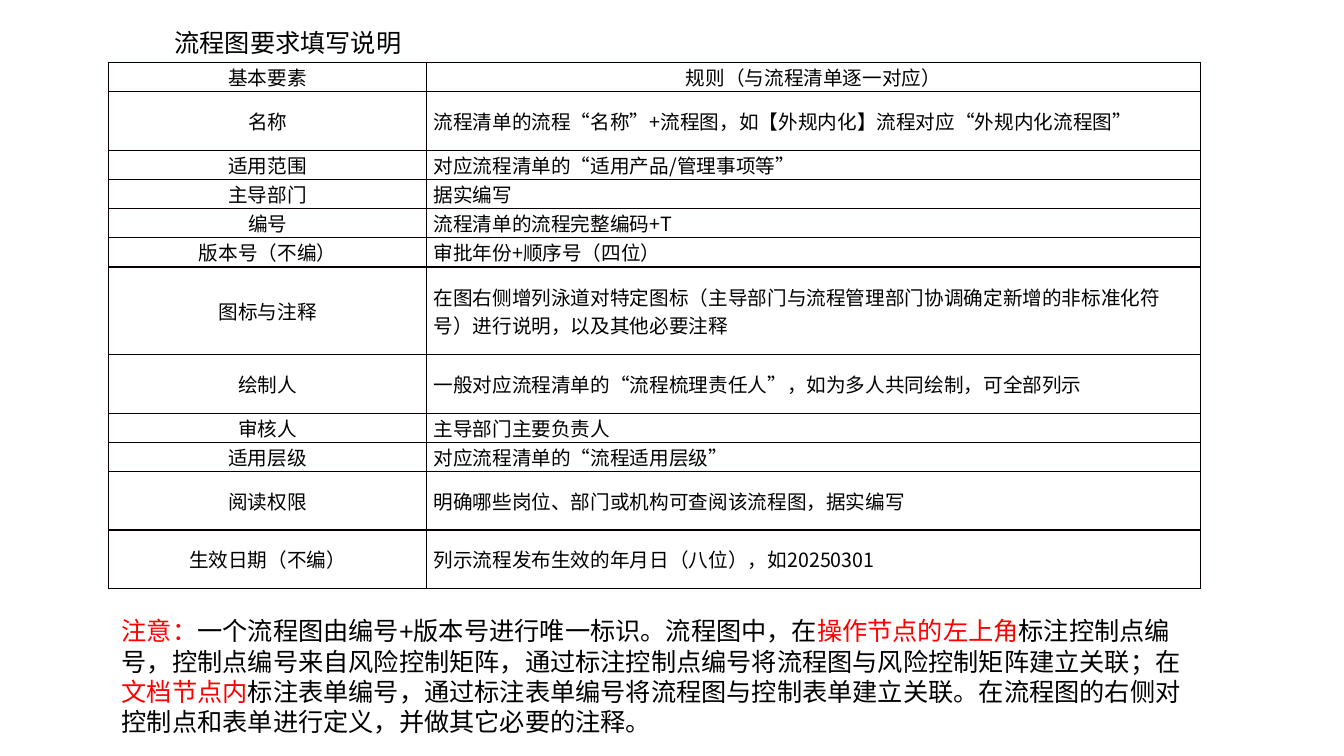
import pptx
import pptx.util
import pptx.dml.color
import pptx.enum.text
import pptx.oxml
import pptx.oxml.ns
from pptx.util import Inches

COLORS = {"text": "000000", "accent": "FF0000", "border": "080000"}
TABLE_FONT = "Noto Sans CJK SC"
TEXT_FONT = "Arial"
ALIGN = pptx.enum.text.PP_ALIGN
ANCHOR = pptx.enum.text.MSO_ANCHOR

LINE = 0.29
# Element, rule, row height in lines
ROWS = [
    ("基本要素", "规则（与流程清单逐一对应）", 1),
    ("名称", "流程清单的流程“名称”+流程图，如【外规内化】流程对应“外规内化流程图”", 2),
    ("适用范围", "对应流程清单的“适用产品/管理事项等”", 1),
    ("主导部门", "据实编写", 1),
    ("编号", "流程清单的流程完整编码+T", 1),
    ("版本号（不编）", "审批年份+顺序号（四位）", 1),
    ("图标与注释", "在图右侧增列泳道对特定图标（主导部门与流程管理部门协调确定新增的非标准化符号）"
     "进行说明，以及其他必要注释", 3),
    ("绘制人", "一般对应流程清单的“流程梳理责任人”，如为多人共同绘制，可全部列示", 2),
    ("审核人", "主导部门主要负责人", 1),
    ("适用层级", "对应流程清单的“流程适用层级”", 1),
    ("阅读权限", "明确哪些岗位、部门或机构可查阅该流程图，据实编写", 2),
    ("生效日期（不编）", "列示流程发布生效的年月日（八位），如20250301", 2),
]
NOTE = [
    ("注意：", "accent"),
    ("一个流程图由编号+版本号进行唯一标识。流程图中，在", "text"),
    ("操作节点的左上角", "accent"),
    ("标注控制点编号，控制点编号来自风险控制矩阵，"
     "通过标注控制点编号将流程图与风险控制矩阵建立关联；在", "text"),
    ("文档节点内", "accent"),
    ("标注表单编号，通过标注表单编号将流程图与控制表单建立关联。"
     "在流程图的右侧对控制点和表单进行定义，并做其它必要的注释。", "text"),
]


def rgb(name):
    return pptx.dml.color.RGBColor.from_string(COLORS[name])


class SlideBuilder:
    def __init__(self, slide):
        self.slide = slide

    def style(self, para, font, size, align=ALIGN.LEFT):
        para.alignment = align
        para.font.name = font
        para.font.size = pptx.util.Pt(size)
        para.font.color.rgb = rgb("text")

    def title(self, text, left, top, width, height):
        box = self.slide.shapes.title
        box.left, box.top, box.width, box.height = map(Inches, (left, top, width, height))
        frame = box.text_frame
        frame.text = text
        frame.vertical_anchor = ANCHOR.TOP
        frame.auto_size = pptx.enum.text.MSO_AUTO_SIZE.NONE
        self.style(frame.paragraphs[0], TEXT_FONT, 18)

    def note(self, spans, left, top, width, height):
        box = self.slide.shapes.add_textbox(*map(Inches, (left, top, width, height)))
        box.text_frame.word_wrap = True
        para = box.text_frame.paragraphs[0]
        self.style(para, TEXT_FONT, 18)
        for text, color in spans:
            span = para.add_run()
            span.text = text
            span.font.color.rgb = rgb(color)

    def borders(self, cell):
        properties = cell._tc.get_or_add_tcPr()
        for position, side in enumerate(("lnL", "lnR", "lnT", "lnB")):
            properties.insert(position, pptx.oxml.parse_xml(
                f'<a:{side} {pptx.oxml.ns.nsdecls("a")} w="12700"><a:solidFill>'
                f'<a:srgbClr val="{COLORS["border"]}"/></a:solidFill></a:{side}>'))

    def cell(self, cell, text, align):
        cell.text = text
        cell.vertical_anchor = ANCHOR.MIDDLE
        cell.margin_left = cell.margin_right = Inches(0.07)
        cell.margin_top = cell.margin_bottom = 0
        cell.fill.background()
        self.borders(cell)
        self.style(cell.text_frame.paragraphs[0], TABLE_FONT, 14, align)

    def table(self, rows, left, top, widths):
        height = LINE * sum(lines for _, _, lines in rows)
        frame = self.slide.shapes.add_table(
            len(rows), len(widths), *map(Inches, (left, top, sum(widths), height)))
        table = frame.table
        table.first_row = table.horz_banding = False
        for column, width in zip(table.columns, widths):
            column.width = Inches(width)
        for index, (element, rule, lines) in enumerate(rows):
            table.rows[index].height = Inches(LINE * lines)
            self.cell(table.cell(index, 0), element, ALIGN.CENTER)
            self.cell(table.cell(index, 1), rule, ALIGN.LEFT if index else ALIGN.CENTER)


def main():
    deck = pptx.Presentation()
    deck.slide_width, deck.slide_height = Inches(13.33), Inches(7.5)
    page = SlideBuilder(deck.slides.add_slide(deck.slide_layouts[5]))

    # Table of flowchart elements and their rules
    page.table(ROWS, 1.08, 0.62, (3.15, 7.68))

    # Heading above the table
    page.title("流程图要求填写说明", 1.63, 0.22, 3.88, 0.4)

    # Note below the table
    page.note(NOTE, 1.11, 6.06, 10.8, 1.31)

    deck.save("out.pptx")


if __name__ == "__main__":
    main()
